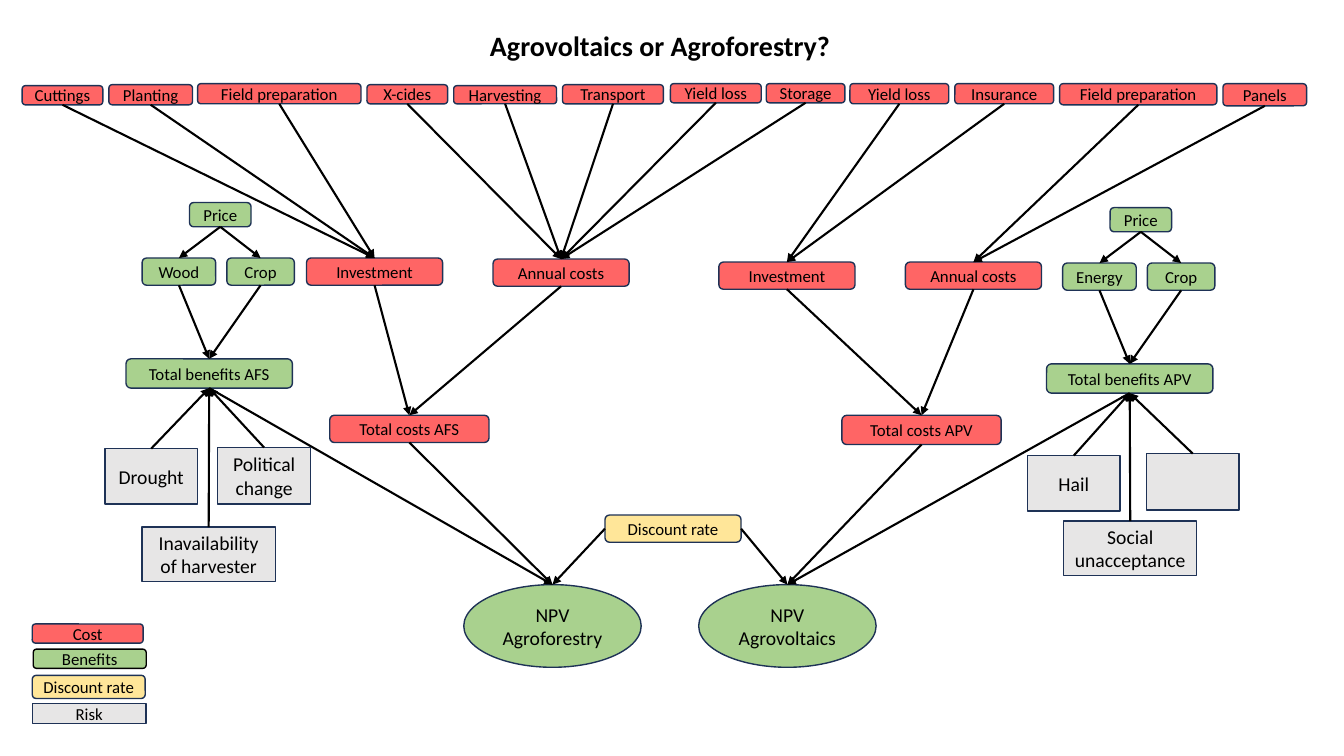
"""Builds a decision diagram comparing agroforestry (AFS) with agrovoltaics (APV)."""
from pptx import Presentation
from pptx import util as u
from pptx.dml.color import RGBColor
from pptx.enum import shapes, text
from pptx.oxml import ns, xmlchemy

RED = RGBColor(0xFF, 0x65, 0x65)
GREEN = RGBColor(0xA9, 0xD1, 0x8E)
YELLOW = RGBColor(0xFF, 0xE6, 0x99)
GREY = RGBColor(0xE7, 0xE6, 0xE6)
NAVY = RGBColor(0x1E, 0x32, 0x56)
BLACK = RGBColor(0, 0, 0)

ROUNDED = shapes.MSO_SHAPE.ROUNDED_RECTANGLE
RECTANGLE = shapes.MSO_SHAPE.RECTANGLE
ELLIPSE = shapes.MSO_SHAPE.OVAL
TOP, LEFT, BOTTOM, RIGHT = range(4)

COLUMN = ROW = u.Inches(0.1)


class Diagram:
    """Holds the style and the current slide; lengths are grid columns and rows."""

    font = "Calibri"

    def __init__(self, presentation):
        self.slide = presentation.slides.add_slide(presentation.slide_layouts[5])

    def label(self, frame, words, size, alignment, bold=False):
        paragraph = frame.paragraphs[0]
        paragraph.alignment = alignment
        run = paragraph.add_run()
        run.text = words
        run.font.name, run.font.size, run.font.bold = self.font, u.Pt(size), bold
        run.font.color.rgb = BLACK

    def title(self, words, left, top, width, height):
        title = self.slide.shapes.title
        title.left, title.top = round(left * COLUMN), round(top * ROW)
        title.width, title.height = round(width * COLUMN), round(height * ROW)
        frame = title.text_frame
        frame.auto_size = text.MSO_AUTO_SIZE.NONE
        frame.vertical_anchor = text.MSO_ANCHOR.TOP
        frame.margin_right = 0
        self.label(frame, words, 20, text.PP_ALIGN.LEFT, bold=True)

    def node(self, words, place, fill, outline=ROUNDED, size=12, line=NAVY):
        left, top, width, height = place
        shape = self.slide.shapes.add_shape(
            outline, round(left * COLUMN), round(top * ROW),
            round(width * COLUMN), round(height * ROW))
        shape.shadow.inherit = False
        shape.fill.solid()
        shape.fill.fore_color.rgb = fill
        shape.line.color.rgb = line
        shape.line.width = u.Pt(1)
        if words:
            frame = shape.text_frame
            frame.word_wrap = True
            frame.vertical_anchor = text.MSO_ANCHOR.MIDDLE
            if outline == ROUNDED:
                frame.margin_left = frame.margin_right = u.Inches(0.05)
            self.label(frame, words, size, text.PP_ALIGN.CENTER)
        return shape

    def arrow(self, source, target, start=BOTTOM, end=TOP):
        connector = self.slide.shapes.add_connector(
            shapes.MSO_CONNECTOR.STRAIGHT, 0, 0, 0, 0)
        connector.begin_connect(source, start)
        connector.end_connect(target, end)
        connector.line.color.rgb = BLACK
        connector.line.width = u.Pt(1.5)
        properties = connector._element.spPr
        head = xmlchemy.OxmlElement("a:tailEnd")
        head.set("type", "triangle")
        properties.find(ns.qn("a:ln")).append(head)
        properties.append(xmlchemy.OxmlElement("a:effectLst"))


SCENARIOS = [
    {
        "npv": ("NPV Agroforestry", (46, 58, 17.6, 8.2)),
        "total costs": ("Total costs AFS", (32.7, 41.2, 15.8, 2.7)),
        "costs": [
            ("Investment", (30.4, 25.6, 13.5, 2.7), [
                ("Cuttings", (2.2, 8.5, 8, 1.9)),
                ("Planting", (10.8, 8.4, 8.3, 2)),
                ("Field preparation", (19.6, 8.3, 16.2, 2))]),
            ("Annual costs", (48.9, 25.7, 13.5, 2.7), [
                ("X-cides", (36.4, 8.4, 8, 1.9)),
                ("Harvesting", (45, 8.5, 10.2, 1.8)),
                ("Transport", (55.8, 8.4, 10, 1.9)),
                ("Yield loss", (66.5, 8.3, 9, 1.9)),
                ("Storage", (76, 8.3, 7.8, 1.9))])],
        "benefits origin": (12.5, 20.1),
        "benefits": ("Total benefits AFS", "Wood"),
        "risks": [
            ("Drought", (10.4, 44.5, 9.2, 5.5)),
            ("Political change", (21.6, 44.4, 9.2, 5.6)),
            ("Inavailability of harvester", (14.1, 52.3, 13.2, 5.4))],
        "discount side": LEFT,
    },
    {
        "npv": ("NPV Agrovoltaics", (69.3, 58, 17.6, 8.2)),
        "total costs": ("Total costs APV", (83.5, 41.2, 15.8, 2.9)),
        "costs": [
            ("Investment", (71.3, 26, 13.5, 2.7), [
                ("Yield loss", (84.3, 8.3, 9.8, 2)),
                ("Insurance", (94.7, 8.3, 9.8, 2))]),
            ("Annual costs", (89.8, 26, 13.5, 2.7), [
                ("Field preparation", (105.1, 8.3, 15.6, 2.1)),
                ("Panels", (121.3, 8.3, 8.3, 2.2))])],
        "benefits origin": (103.8, 20.6),
        "benefits": ("Total benefits APV", "Energy"),
        "risks": [
            ("Hail", (101.9, 45.2, 9.2, 5.5)),
            ("", (113.7, 45, 9.2, 5.6)),
            ("Social unacceptance", (105.5, 51.7, 13.2, 5.4))],
        "discount side": RIGHT,
    },
]

LEGEND = [
    ("Cost", (3.2, 61.9, 11, 1.9), RED, ROUNDED, NAVY),
    ("Benefits", (3.3, 64.4, 11.2, 1.9), GREEN, ROUNDED, BLACK),
    ("Discount rate", (3.2, 67, 11.2, 2.3), YELLOW, ROUNDED, NAVY),
    ("Risk", (3.2, 69.8, 11.3, 2), GREY, RECTANGLE, NAVY),
]

presentation = Presentation()
presentation.slide_width, presentation.slide_height = u.Inches(13.33), u.Inches(7.5)
diagram = Diagram(presentation)
diagram.title("Agrovoltaics or Agroforestry?", 47.6, 2.3, 35.9, 4.4)
discount = diagram.node("Discount rate", (60, 51.1, 13.5, 2.7), YELLOW)

for scenario in SCENARIOS:
    npv = diagram.node(*scenario["npv"], GREEN, ELLIPSE, 14)
    diagram.arrow(discount, npv, start=scenario["discount side"])

    total_costs = diagram.node(*scenario["total costs"], RED)
    diagram.arrow(total_costs, npv)
    for name, place, items in scenario["costs"]:
        cost = diagram.node(name, place, RED)
        diagram.arrow(cost, total_costs)
        for item in items:
            diagram.arrow(diagram.node(*item, RED), cost)

    x, y = scenario["benefits origin"]
    total_name, product = scenario["benefits"]
    total_benefits = diagram.node(total_name, (x, y + 15.5, 16.5, 2.9), GREEN)
    diagram.arrow(total_benefits, npv)
    price = diagram.node("Price", (x + 6.3, y, 6.1, 2.4), GREEN)
    for name, offset, width in ((product, 1.6, 7.3), ("Crop", 10, 6.7)):
        harvest = diagram.node(name, (x + offset, y + 5.5, width, 2.7), GREEN)
        diagram.arrow(price, harvest)
        diagram.arrow(harvest, total_benefits)

    for name, place in scenario["risks"]:
        risk = diagram.node(name, place, GREY, RECTANGLE, 14)
        diagram.arrow(risk, total_benefits, start=TOP, end=BOTTOM)

for name, place, fill, outline, line in LEGEND:
    diagram.node(name, place, fill, outline, line=line)

presentation.save("out.pptx")
